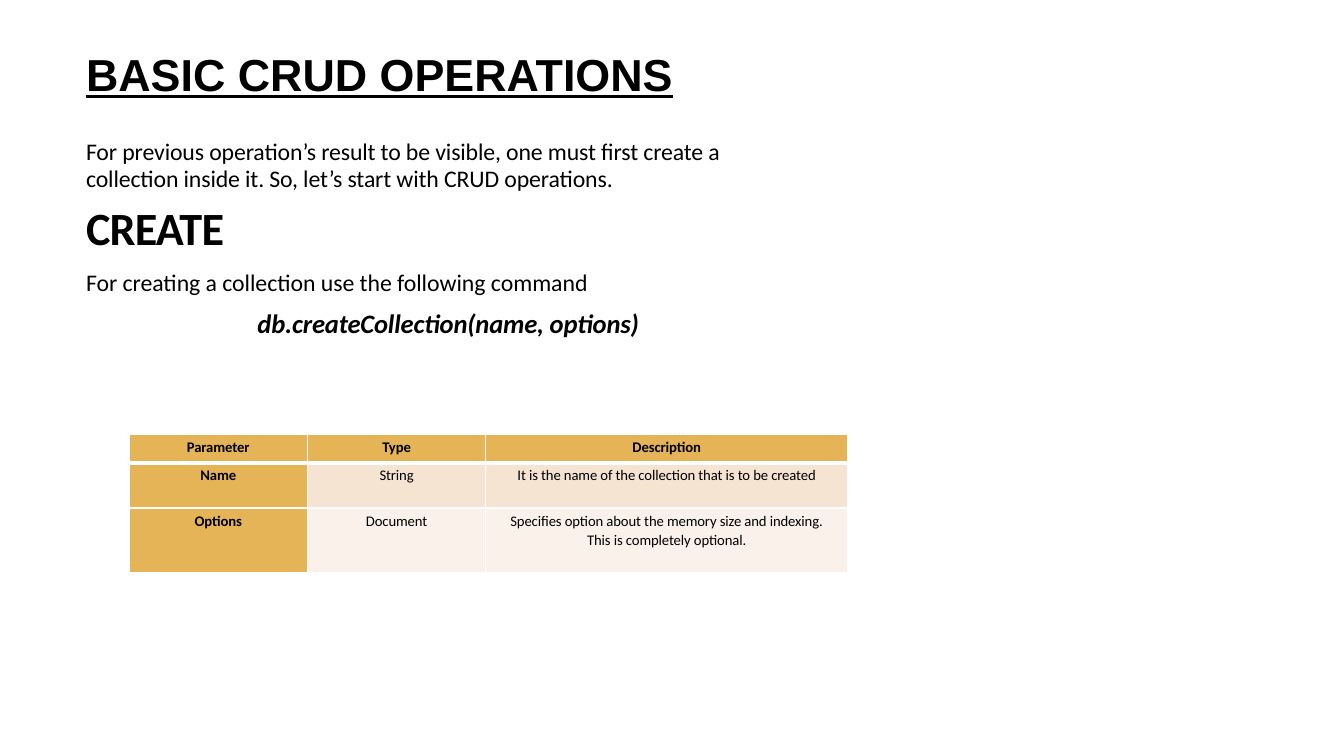
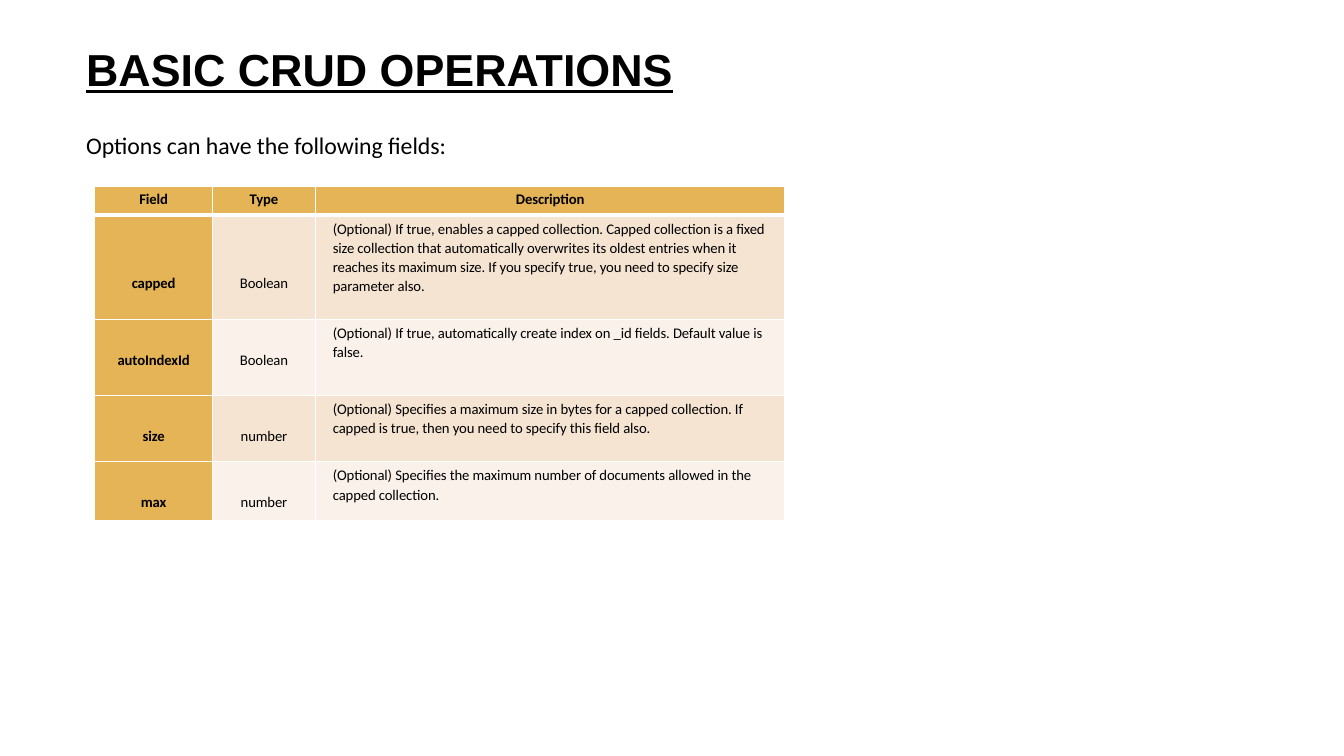
from dataclasses import dataclass

from lxml.etree import SubElement
from pptx import Presentation
from pptx.dml.color import RGBColor
from pptx.enum.text import PP_ALIGN
from pptx.oxml.ns import qn
from pptx.util import Pt


@dataclass(frozen=True)
class Theme:
    ink: str = "000000"
    heading_fill: str = "E4B457"
    bands: tuple = ("F5E4D1", "F9F1EA")
    border: str = "FFFFFF"
    thin: float = 0.96
    thick: float = 3
    title_font: str = "Arial"
    body_font: str = "Calibri"
    title_size: float = 32
    section_size: float = 33
    command_size: float = 19
    body_size: float = 17
    cell_size: float = 10.5
    left: float = 60.5
    cell_top: float = 3
    cell_side: float = 7.2


THEME = Theme()
TITLE = "BASIC CRUD OPERATIONS"

SLIDES = [
    {
        "title": (32.4, 654, 47),
        "body_box": (97.9, 518.4, 163.4),
        "body": [
            {"text": "For previous operation’s result to be visible, one must first create a "
                     "collection inside it. So, let’s start with CRUD operations.",
             "size": THEME.body_size, "line": 19.4, "tracking": -0.1},
            {"text": "CREATE", "size": THEME.section_size, "bold": True, "before": 5, "tracking": -0.6},
            {"text": "For creating a collection use the following command",
             "size": THEME.body_size, "before": 8.9, "tracking": -0.05},
            {"text": "db.createCollection(name, options)", "size": THEME.command_size,
             "bold": True, "italic": True, "before": 7.6, "tracking": -0.1, "align": PP_ALIGN.CENTER},
        ],
        "table": {
            "origin": (92.2, 310.3),
            "columns": (127.4, 127.4, 258.5),
            "row_heights": (20.2, 32.4, 46),
            "label_tops": (THEME.cell_top, THEME.cell_top),
            "description": {"align": PP_ALIGN.CENTER},
            "description_left": THEME.cell_side,
            "rows": [
                ("Parameter", "Type", "Description"),
                ("Name", "String", "It is the name of the collection that is to be created"),
                ("Options", "Document", "Specifies option about the memory size and indexing.\n"
                                        "This is completely optional."),
            ],
        },
    },
    {
        "title": (28.8, 620.6, 43.2),
        "body_box": (92.2, 260.6, 41.8),
        "body": [{"text": "Options can have the following fields:", "size": THEME.body_size,
                  "tracking": -0.05}],
        "table": {
            "origin": (67.7, 133.2),
            "columns": (84.2, 73.4, 335.5),
            "row_heights": (20.2, 74.9, 54, 47.5, 41.8),
            "label_tops": (43, 23, 23, 23),
            "description": {"align": PP_ALIGN.LEFT, "line": 1.07},
            "description_left": 12.5,
            "rows": [
                ("Field", "Type", "Description"),
                ("capped", "Boolean",
                 "(Optional) If true, enables a capped collection. Capped collection is a fixed size "
                 "collection that automatically overwrites its oldest entries when it reaches its "
                 "maximum size. If you specify true, you need to specify size parameter also."),
                ("autoIndexId", "Boolean",
                 "(Optional) If true, automatically create index on _id fields. Default value is false."),
                ("size", "number",
                 "(Optional) Specifies a maximum size in bytes for a capped collection. If capped is "
                 "true, then you need to specify this field also."),
                ("max", "number",
                 "(Optional) Specifies the maximum number of documents allowed in the capped collection."),
            ],
        },
    },
]


def write(frame, paragraphs):
    for index, item in enumerate(paragraphs):
        paragraph = frame.paragraphs[0] if index == 0 else frame.add_paragraph()
        paragraph.alignment = item.get("align", PP_ALIGN.LEFT)
        paragraph.space_before = Pt(item.get("before", 0))
        if "line" in item:
            line = item["line"]
            paragraph.line_spacing = Pt(line) if line > 3 else line
        run = paragraph.add_run()
        run.text = item["text"]
        font = run.font
        font.name = item.get("font", THEME.body_font)
        font.size = Pt(item["size"])
        font.bold = item.get("bold", False)
        font.italic = item.get("italic", False)
        font.underline = item.get("underline", False)
        font.color.rgb = RGBColor.from_string(THEME.ink)
        if "tracking" in item:
            run._r.get_or_add_rPr().set("spc", str(round(item["tracking"] * 100)))


def set_margins(target, left, top, right=0, bottom=0):
    target.margin_left, target.margin_top = Pt(left), Pt(top)
    target.margin_right, target.margin_bottom = Pt(right), Pt(bottom)


def add_text(slide, box, paragraphs):
    top, width, height = box
    frame = slide.shapes.add_textbox(Pt(THEME.left), Pt(top), Pt(width), Pt(height)).text_frame
    frame.word_wrap = True
    set_margins(frame, 1, 1)
    write(frame, paragraphs)


def add_borders(cell, row):
    widths = {
        "L": THEME.thin,
        "R": THEME.thin,
        "T": THEME.thick if row == 1 else THEME.thin,
        "B": THEME.thick if row == 0 else THEME.thin,
    }
    properties = cell._tc.get_or_add_tcPr()
    for side, width in widths.items():
        line = SubElement(properties, qn(f"a:ln{side}"), w=str(int(Pt(width))))
        SubElement(SubElement(line, qn("a:solidFill")), qn("a:srgbClr"), val=THEME.border)


def add_parameters(slide, content):
    rows, columns, heights = content["rows"], content["columns"], content["row_heights"]
    left, top = content["origin"]
    grid = slide.shapes.add_table(len(rows), len(columns), Pt(left), Pt(top),
                                  Pt(sum(columns)), Pt(sum(heights))).table
    grid.first_row = grid.horz_banding = False
    for column, width in zip(grid.columns, columns):
        column.width = Pt(width)
    for r, (values, height) in enumerate(zip(rows, heights)):
        grid.rows[r].height = Pt(height)
        for c, value in enumerate(values):
            cell = grid.cell(r, c)
            heading = r == 0 or c == 0
            description = r > 0 and c == 2
            add_borders(cell, r)
            cell.fill.solid()
            fill = THEME.heading_fill if heading else THEME.bands[(r - 1) % 2]
            cell.fill.fore_color.rgb = RGBColor.from_string(fill)
            label_top = content["label_tops"][r - 1] if r and not description else THEME.cell_top
            cell_left = content["description_left"] if description else THEME.cell_side
            set_margins(cell, cell_left, label_top, THEME.cell_side)
            style = content["description"] if description else {"align": PP_ALIGN.CENTER}
            write(cell.text_frame, [
                {"text": text, "size": THEME.cell_size, "bold": heading, "tracking": -0.05,
                 "before": 1 if i else 0, **style}
                for i, text in enumerate(value.split("\n"))
            ])


def main():
    deck = Presentation()
    deck.slide_width, deck.slide_height = Pt(960), Pt(540)
    for content in SLIDES:
        slide = deck.slides.add_slide(deck.slide_layouts[6])
        add_text(slide, content["title"], [{"text": TITLE, "font": THEME.title_font,
                                            "size": THEME.title_size, "bold": True, "underline": True}])
        add_text(slide, content["body_box"], content["body"])
        add_parameters(slide, content["table"])
    deck.save("out.pptx")


if __name__ == "__main__":
    main()
